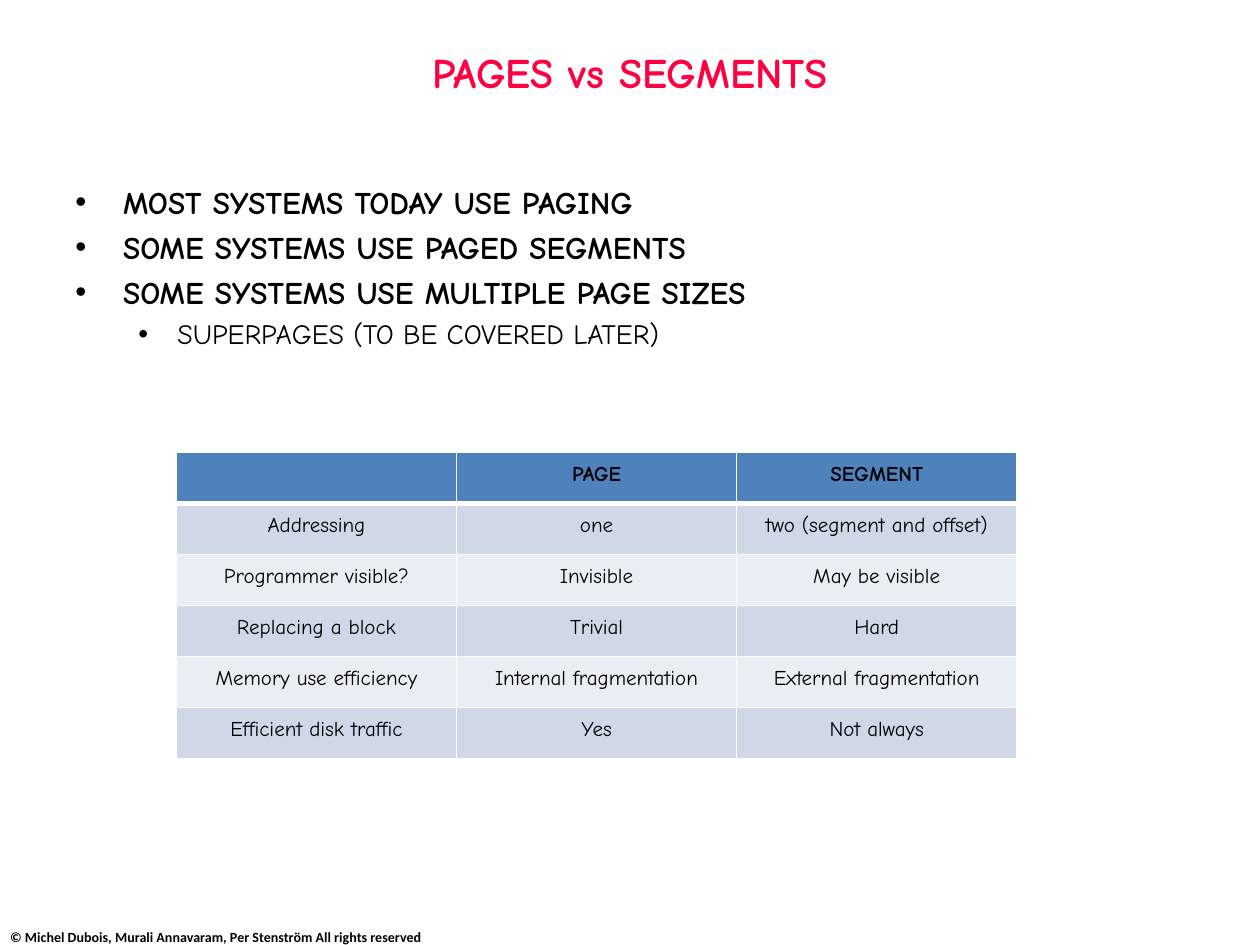
"""Build a slide comparing pages with segments in a list and a table."""
from lxml import etree
from pptx import Presentation
from pptx.dml.color import RGBColor
from pptx.enum.text import MSO_ANCHOR, PP_ALIGN
from pptx.oxml.ns import qn
from pptx.util import Inches, Pt

CENTER, LEFT = PP_ALIGN.CENTER, PP_ALIGN.LEFT
TOP, MIDDLE, BOTTOM = MSO_ANCHOR.TOP, MSO_ANCHOR.MIDDLE, MSO_ANCHOR.BOTTOM
HAND, PLAIN = "Comic Neue", "Calibri"

deck = Presentation()
deck.slide_width, deck.slide_height = Inches(10), Inches(7.5)
slide = deck.slides.add_slide(deck.slide_layouts[6])


def text_area(left, top, width, height, anchor):
    frame = slide.shapes.add_textbox(
        Inches(left), Inches(top), Inches(width), Inches(height)).text_frame
    frame.word_wrap = True
    frame.vertical_anchor = anchor
    return frame


def write(paragraph, words, size, bold, align=LEFT, font=HAND, color="000000"):
    paragraph.alignment = align
    run = paragraph.add_run()
    run.text = words
    run.font.name, run.font.size, run.font.bold = font, Pt(size), bold
    run.font.color.rgb = RGBColor.from_string(color)


rights = text_area(0.08, 7.32, 4.92, 0.18, BOTTOM)
rights.margin_left = rights.margin_bottom = 0
write(rights.paragraphs[0],
      "© Michel Dubois, Murali Annavaram, Per Stenström All rights reserved",
      8, True, font=PLAIN)

title = text_area(0.5, 0.07, 9, 0.99, MIDDLE)
write(title.paragraphs[0], "PAGES vs SEGMENTS", 24, True, CENTER, color="FF0043")

points = [
    ("MOST SYSTEMS TODAY USE PAGING", 0),
    ("SOME SYSTEMS USE PAGED SEGMENTS", 0),
    ("SOME SYSTEMS USE MULTIPLE PAGE SIZES", 0),
    ("SUPERPAGES (TO BE COVERED LATER)", 1),
]
levels = [(18, True, 0.38, 0.38), (16, False, 0.81, 0.31)]
usage = text_area(0.5, 1.4, 9, 5.55, TOP)
for index, (words, level) in enumerate(points):
    point = usage.add_paragraph() if index else usage.paragraphs[0]
    size, bold, margin, hanging = levels[level]
    point.level = level
    point.space_before = Pt(size * 0.23)
    write(point, words, size, bold)
    properties = point._p.get_or_add_pPr()
    properties.set("marL", str(Inches(margin)))
    properties.set("indent", str(-Inches(hanging)))
    etree.SubElement(properties, qn("a:buFont"), typeface="Arial")
    etree.SubElement(properties, qn("a:buChar"), char="•")

comparison = [
    ("", "PAGE", "SEGMENT"),
    ("Addressing", "one", "two (segment and offset)"),
    ("Programmer visible?", "Invisible", "May be visible"),
    ("Replacing a block", "Trivial", "Hard"),
    ("Memory use efficiency", "Internal fragmentation", "External fragmentation"),
    ("Efficient disk traffic", "Yes", "Not always"),
]
table = slide.shapes.add_table(
    len(comparison), 3, Inches(1.4), Inches(3.59), Inches(6.67), Inches(2.43)).table
table.horz_banding = False
for row, entries in enumerate(comparison):
    heading = row == 0
    fill = "4F81BD" if heading else ("E9EDF4", "D0D8E8")[row % 2]
    for column, words in enumerate(entries):
        cell = table.cell(row, column)
        cell.margin_left = cell.margin_right = Inches(0.03)
        cell.margin_top, cell.margin_bottom = Inches(0.08), Inches(0.01)
        for side in ("L", "R", "T", "B"):
            thick = (row, side) in ((0, "B"), (1, "T"))
            border = etree.SubElement(cell._tc.get_or_add_tcPr(), qn(f"a:ln{side}"),
                                      w=str(Pt(3 if thick else 1)))
            paint = etree.SubElement(border, qn("a:solidFill"))
            etree.SubElement(paint, qn("a:srgbClr"), val="FFFFFF")
        cell.fill.solid()
        cell.fill.fore_color.rgb = RGBColor.from_string(fill)
        if words:
            entry = cell.text_frame.paragraphs[0]
            entry.line_spacing = Pt(14)
            write(entry, words, 12, heading, CENTER)

deck.save("out.pptx")
